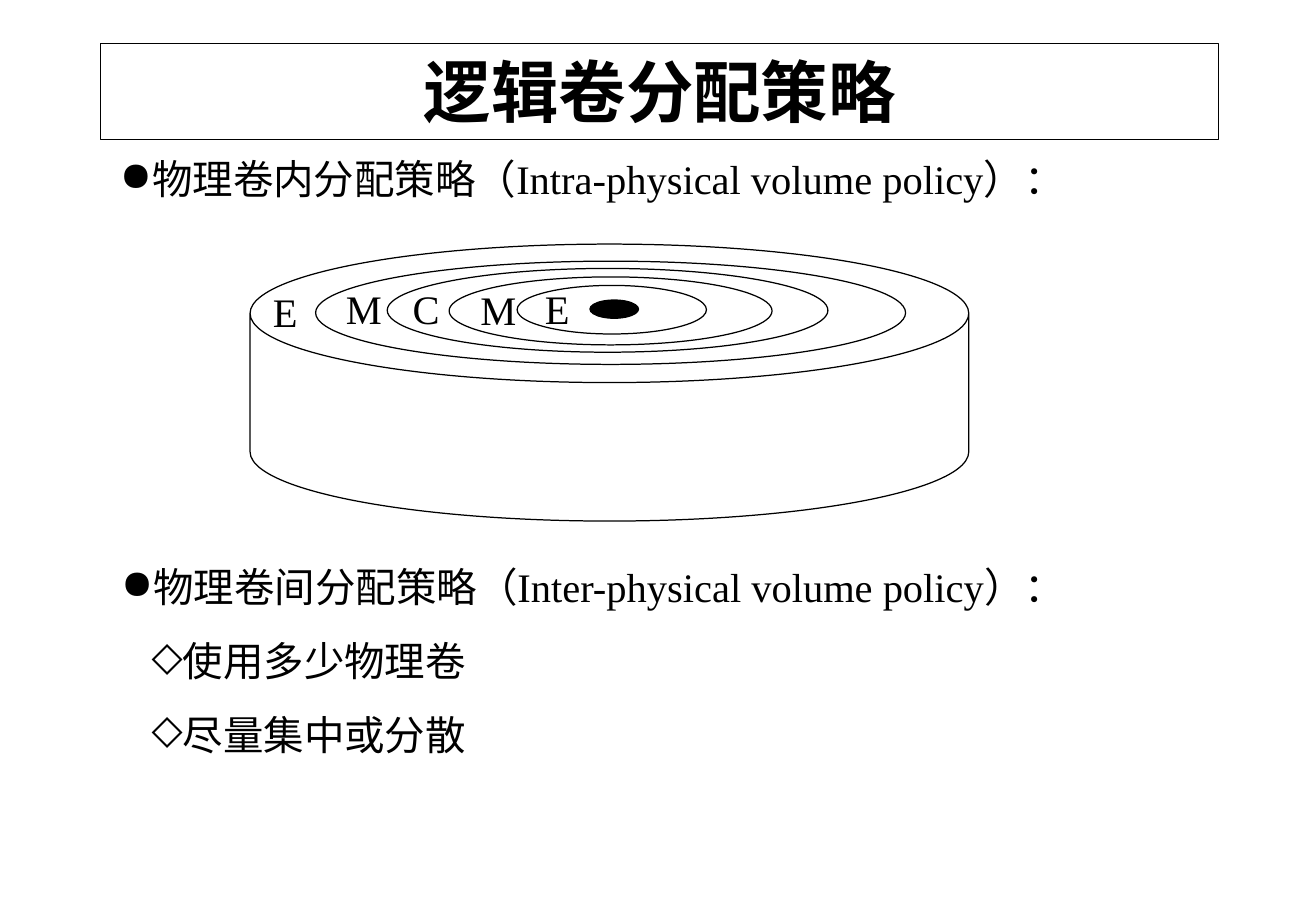
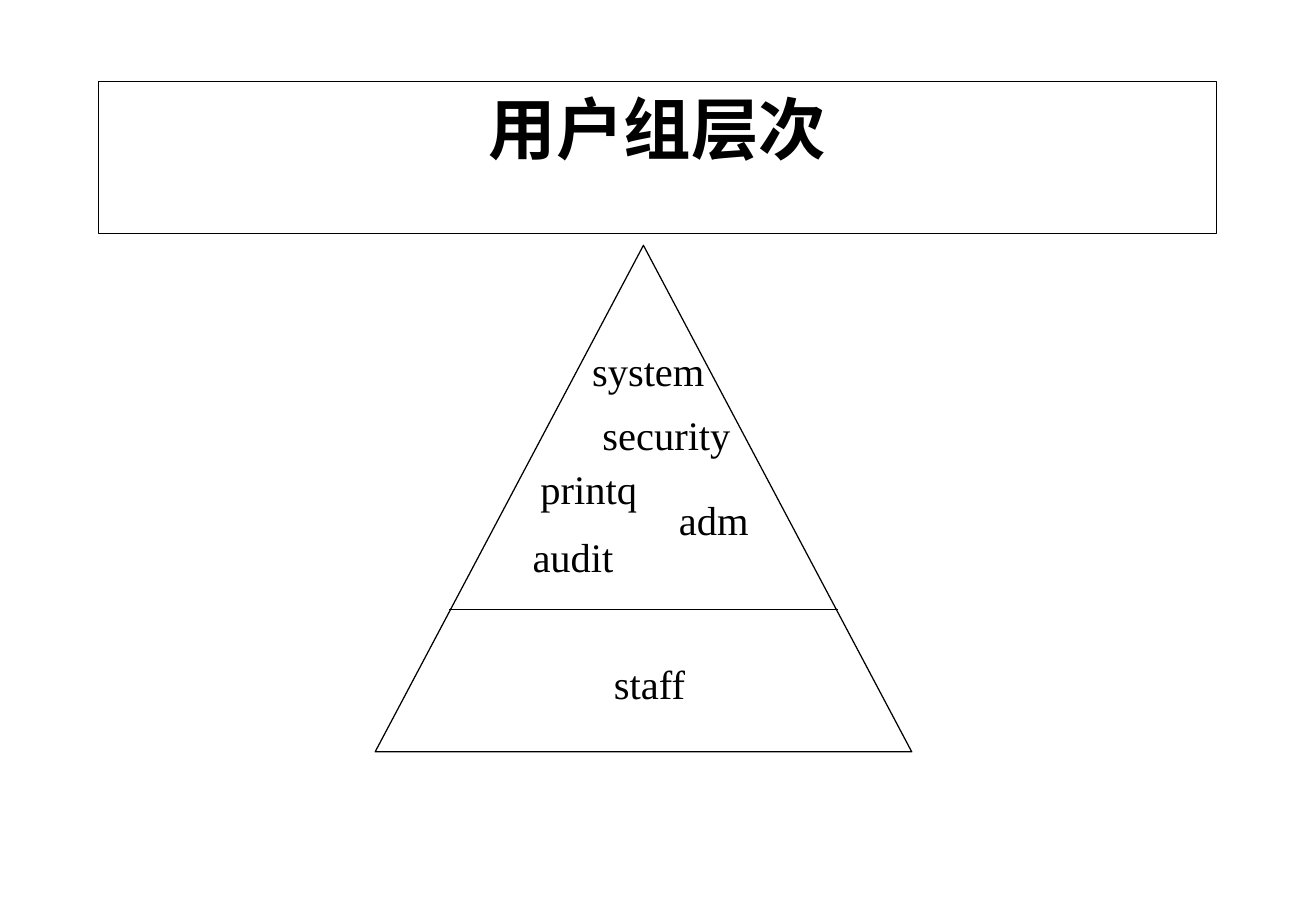
from pptx import Presentation
from pptx.dml.color import RGBColor
from pptx.enum.shapes import MSO_CONNECTOR, MSO_SHAPE as SHAPE
from pptx.enum.text import MSO_ANCHOR as ANCHOR, PP_ALIGN as ALIGN
from pptx.oxml.ns import qn
from pptx.util import Pt
from lxml.etree import SubElement

PX = 9144  # EMU per px, 100 px to the inch
FONT = "Times New Roman"
BLACK, WHITE = "000000", "FFFFFF"
TITLE_SIZE, BODY_SIZE = 40, 24
TITLE_W = 921
LABEL_H = 50
BULLETS = [("●", 0), ("◇", 25)]  # character and left margin by level


def px(*lengths):
    return [n * PX for n in lengths]


def rgb(color):
    return RGBColor.from_string(color)


def add_run(p, text, size=BODY_SIZE, bold=False):
    r = p.add_run()
    r.text = text
    r.font.name, r.font.size, r.font.bold = FONT, Pt(size), bold
    r.font.color.rgb = rgb(BLACK)


def set_bullet(p, level):
    char, margin = BULLETS[level]
    pPr = p._p.get_or_add_pPr()
    pPr.set("marL", str(margin * PX))
    pPr.set("indent", "0")
    SubElement(SubElement(pPr, qn("a:buClr")), qn("a:srgbClr"), val=BLACK)
    SubElement(pPr, qn("a:buChar"), char=char)


def add_outline(s, kind, x, y, w, h, fill=None):
    """Add a preset shape with a thin black line, filled only if asked."""
    sp = s.shapes.add_shape(kind, *px(x, y, w, h))
    sp.shadow.inherit = False
    if fill:
        sp.fill.solid()
        sp.fill.fore_color.rgb = rgb(fill)
    else:
        sp.fill.background()
    sp.line.color.rgb = rgb(BLACK)
    sp.line.width = Pt(0.75)
    return sp


def add_text_frame(s, x, y, w, h):
    tf = s.shapes.add_textbox(*px(x, y, w, h)).text_frame
    tf.word_wrap = True
    return tf


def add_title(s, text, x, y, h):
    tf = add_outline(s, SHAPE.RECTANGLE, x, y, TITLE_W, h, WHITE).text_frame
    tf.word_wrap = True
    tf.vertical_anchor = ANCHOR.TOP
    p = tf.paragraphs[0]
    p.alignment = ALIGN.CENTER
    add_run(p, text, TITLE_SIZE, bold=True)


def add_bullets(s, x, y, w, h, items):
    tf = add_text_frame(s, x, y, w, h)
    for i, (level, text) in enumerate(items):
        p = tf.add_paragraph() if i else tf.paragraphs[0]
        if i:
            p.space_before = Pt(15)
        set_bullet(p, level)
        add_run(p, text)


def add_labels(s, x, y, w, labels):
    """Add centred labels of one width at offsets from (x, y)."""
    for text, dx, dy in labels:
        p = add_text_frame(s, x + dx, y + dy, w, LABEL_H).paragraphs[0]
        p.alignment = ALIGN.CENTER
        add_run(p, text)


def add_rule(s, x1, x2, y):
    line = s.shapes.add_connector(MSO_CONNECTOR.STRAIGHT, *px(x1, y, x2, y))
    line.line.color.rgb = rgb(BLACK)
    line.line.width = Pt(0.75)
    SubElement(line._element.spPr, qn("a:effectLst"))


def add_disk(s, x, y, w, h):
    """Draw a disk with its track zones and spindle."""
    can = add_outline(s, SHAPE.CAN, x, y, w, h, WHITE)
    can.adjustments[0] = 0.5
    zones = [(54, 14, 486, 85), (113, 20, 363, 69),
             (164, 27, 266, 56), (220, 34, 156, 40)]
    for dx, dy, zone_w, zone_h in zones:
        add_outline(s, SHAPE.OVAL, x + dx, y + dy, zone_w, zone_h)
    add_outline(s, SHAPE.OVAL, x + 280, y + 46, 40, 15, BLACK)
    add_labels(s, x, y, 44, [("E", 7, 30), ("M", 69, 28), ("C", 123, 28),
                             ("M", 180, 29), ("E", 231, 28)])


def add_group_pyramid(s, x, y, w, h):
    add_outline(s, SHAPE.ISOSCELES_TRIANGLE, x, y, w, h)
    add_rule(s, x + 61, x + 381, y + 300)
    add_labels(s, x, y, 154, [
        ("system", 148, 78), ("security", 163, 131), ("printq", 99, 175),
        ("adm", 202, 201), ("audit", 86, 231), ("staff", 149, 336)])


def build_volume_slide(s):
    add_title(s, "逻辑卷分配策略", 83, 36, 79)
    add_bullets(s, 89, 122, 870, 50,
                [(0, "物理卷内分配策略（Intra-physical volume policy）：")])
    add_disk(s, 206, 201, 592, 228)
    add_bullets(s, 90, 458, 870, 172,
                [(0, "物理卷间分配策略（Inter-physical volume policy）："),
                 (1, "使用多少物理卷"),
                 (1, "尽量集中或分散")])


def build_group_slide(s):
    add_title(s, "用户组层次", 81, 67, 125)
    add_group_pyramid(s, 309, 202, 442, 417)


def main():
    prs = Presentation()
    prs.slide_width, prs.slide_height = px(1084, 750)
    for build in (build_volume_slide, build_group_slide):
        build(prs.slides.add_slide(prs.slide_layouts[6]))
    prs.save("out.pptx")


if __name__ == "__main__":
    main()
